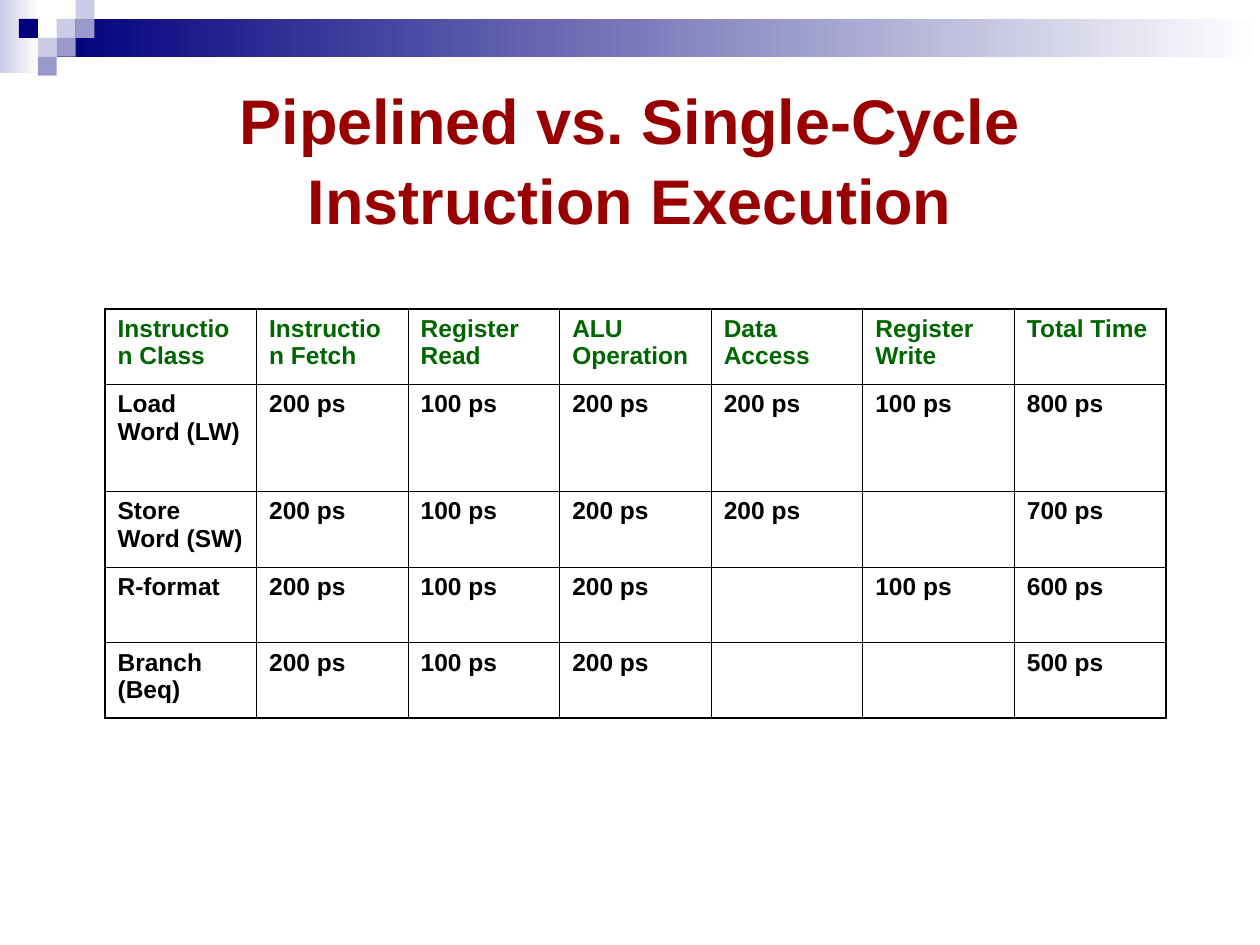
from lxml.etree import SubElement
from pptx import Presentation
from pptx.dml.color import RGBColor
from pptx.enum.shapes import MSO_SHAPE as Shape
from pptx.enum.text import MSO_ANCHOR as Anchor, MSO_AUTO_SIZE as AutoSize, PP_ALIGN as Align
from pptx.oxml.ns import qn
from pptx.util import Pt

NAVY = RGBColor(0x00, 0x00, 0x7D)
LAVENDER = RGBColor(0xCC, 0xCC, 0xE6)
PERIWINKLE = RGBColor(0x99, 0x99, 0xCC)
WHITE = RGBColor(0xFF, 0xFF, 0xFF)
BLACK = RGBColor(0x00, 0x00, 0x00)
DARK_RED = RGBColor(0x99, 0x00, 0x00)
GREEN = RGBColor(0x00, 0x66, 0x00)

SQUARE = 10.8
SQUARES = [  # column, row, colour
    (3, 1, LAVENDER), (4, 0, LAVENDER), (4, 1, PERIWINKLE), (2, 2, LAVENDER),
    (1, 1, NAVY), (3, 2, PERIWINKLE), (2, 3, PERIWINKLE),
]

COLUMN_WIDTH = 86.6
ROW_HEIGHTS = [43.2, 61.2, 43.2, 43.2, 43.2]
TIMES = [
    ["Instruction Class", "Instruction Fetch", "Register Read", "ALU Operation",
     "Data Access", "Register Write", "Total Time"],
    ["Load Word (LW)", "200 ps", "100 ps", "200 ps", "200 ps", "100 ps", "800 ps"],
    ["Store Word (SW)", "200 ps", "100 ps", "200 ps", "200 ps", "", "700 ps"],
    ["R-format", "200 ps", "100 ps", "200 ps", "", "100 ps", "600 ps"],
    ["Branch (Beq)", "200 ps", "100 ps", "200 ps", "", "", "500 ps"],
]


class SlideBuilder:
    font_name = "Arial"
    outer_line, inner_line = 1.08, 0.45

    def __init__(self, page):
        self.page = page

    def style(self, para, size, color):
        para.font.name = self.font_name
        para.font.size = Pt(size)
        para.font.bold = True
        para.font.color.rgb = color

    def rectangle(self, left, top, width, height, color, fade_to=None):
        box = self.page.shapes.add_shape(
            Shape.RECTANGLE, Pt(left), Pt(top), Pt(width), Pt(height))
        box.shadow.inherit = False
        box.line.fill.background()
        if fade_to is None:
            box.fill.solid()
            box.fill.fore_color.rgb = color
        else:
            box.fill.gradient()
            box.fill.gradient_angle = 0
            for stop, shade in zip(box.fill.gradient_stops, (color, fade_to)):
                stop.color.rgb = shade

    def title(self, text, left, top, width, height):
        box = self.page.shapes.title
        box.left, box.top, box.width, box.height = map(Pt, (left, top, width, height))
        # Bring the title in front of the decoration
        box.element.getparent().append(box.element)
        frame = box.text_frame
        frame.text = text
        frame.word_wrap = True
        frame.auto_size = AutoSize.NONE
        frame.vertical_anchor = Anchor.MIDDLE
        para = frame.paragraphs[0]
        para.alignment = Align.CENTER
        para.line_spacing = 1.05
        self.style(para, 36, DARK_RED)

    def border(self, cell, side, width):
        line = SubElement(cell._tc.get_or_add_tcPr(), qn(f"a:ln{side}"), w=str(Pt(width)))
        fill = SubElement(line, qn("a:solidFill"))
        SubElement(fill, qn("a:srgbClr"), val=str(BLACK))

    def table(self, rows, left, top, column_width, row_heights):
        last_row, last_column = len(rows) - 1, len(rows[0]) - 1
        table = self.page.shapes.add_table(
            len(rows), len(rows[0]), Pt(left), Pt(top),
            Pt(column_width * len(rows[0])), Pt(sum(row_heights))).table
        table.first_row = table.horz_banding = False
        for column in table.columns:
            column.width = Pt(column_width)
        for r, (texts, height) in enumerate(zip(rows, row_heights)):
            table.rows[r].height = Pt(height)
            for c, text in enumerate(texts):
                cell = table.cell(r, c)
                # Heavier lines on the outside edges
                edges = {"L": c == 0, "R": c == last_column, "T": r == 0, "B": r == last_row}
                for side, outside in edges.items():
                    self.border(cell, side, self.outer_line if outside else self.inner_line)
                cell.fill.background()
                cell.text = text
                self.style(cell.text_frame.paragraphs[0], 14, BLACK if r else GREEN)


def main():
    deck = Presentation()
    deck.slide_width, deck.slide_height = Pt(720), Pt(540)
    builder = SlideBuilder(deck.slides.add_slide(deck.slide_layouts[5]))

    # Header decoration
    builder.rectangle(0, 0, 22.3, 41.8, LAVENDER, WHITE)
    builder.rectangle(3 * SQUARE, SQUARE, 720 - 3 * SQUARE, 2 * SQUARE, NAVY, WHITE)
    for column, row, color in SQUARES:
        builder.rectangle(column * SQUARE, row * SQUARE, SQUARE, SQUARE, color)

    # Title
    builder.title("Pipelined vs. Single-Cycle Instruction Execution", 36, 36, 648, 108)

    # Timing table
    builder.table(TIMES, 60, 176.4, COLUMN_WIDTH, ROW_HEIGHTS)

    deck.save("out.pptx")


if __name__ == "__main__":
    main()
